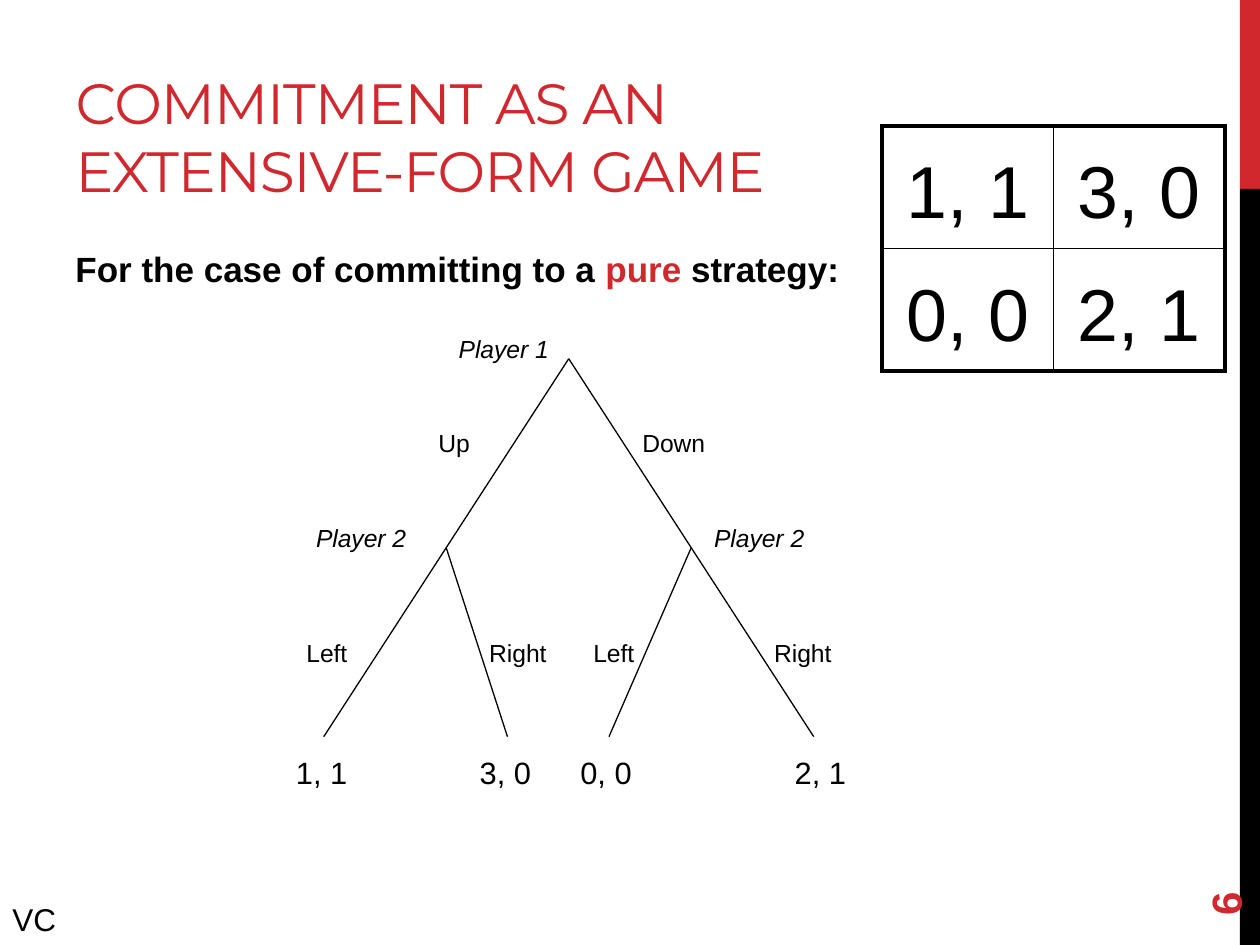
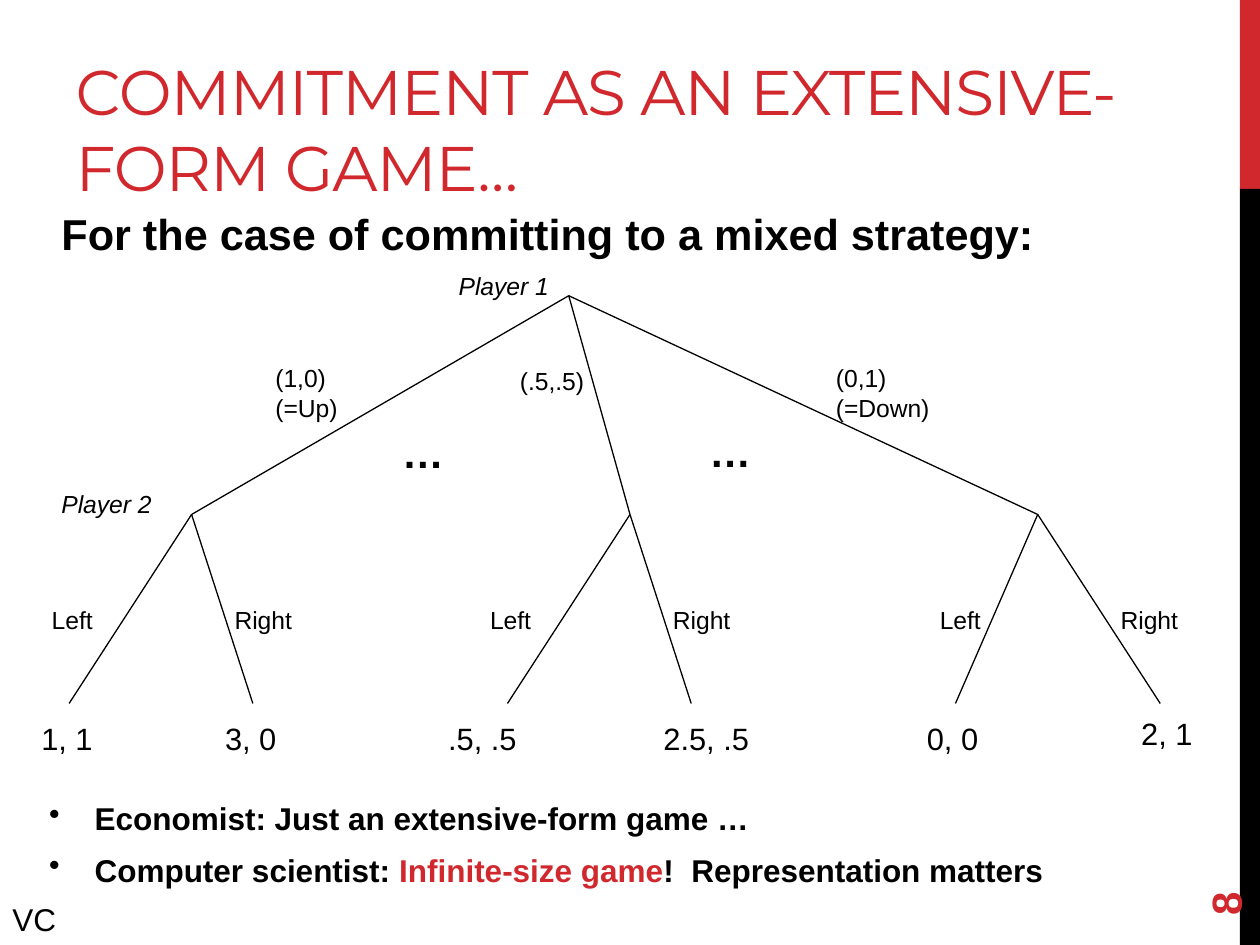
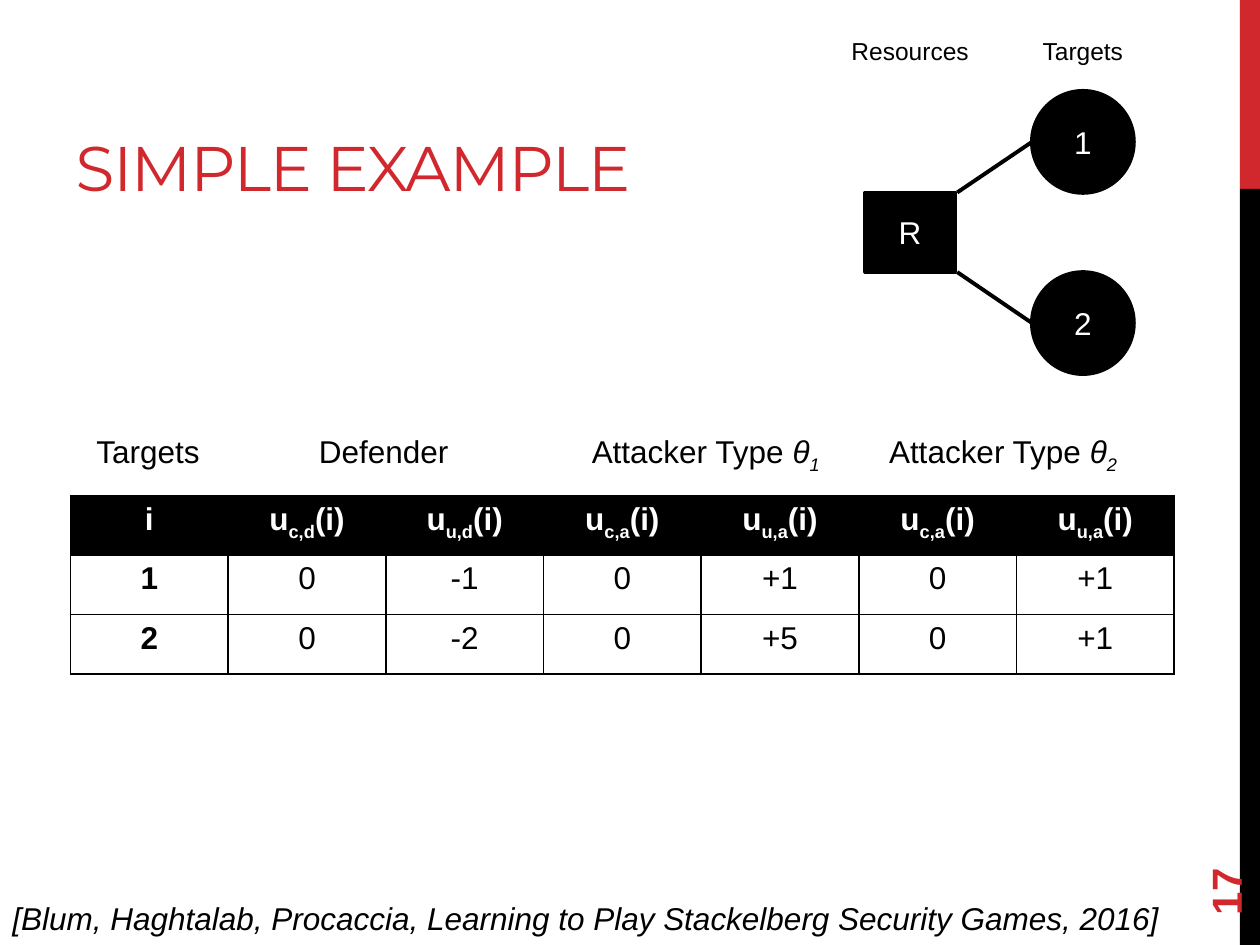
from dataclasses import dataclass, replace
from typing import NamedTuple

from lxml.etree import SubElement
from pptx import Presentation
from pptx.dml.color import RGBColor
from pptx.enum.shapes import MSO_CONNECTOR, MSO_SHAPE
from pptx.enum.text import MSO_ANCHOR, MSO_AUTO_SIZE, PP_ALIGN
from pptx.oxml import parse_xml
from pptx.oxml.ns import nsdecls, qn
from pptx.util import Pt

RED, BLACK, WHITE = "D1282E", "000000", "FFFFFF"


class Run(NamedTuple):
    text: str
    color: str | None = None
    italic: bool | None = None
    subscript: bool = False


class Box(NamedTuple):
    left: float
    top: float
    width: float
    height: float


@dataclass(frozen=True)
class Style:
    size: float
    color: str = BLACK
    bold: bool = False
    italic: bool = False
    font: str = "Arial"
    align: PP_ALIGN = PP_ALIGN.LEFT
    line_spacing: float = 1.0
    before: float = 0
    bullet: bool = False


class Label(NamedTuple):
    text: str
    box: Box
    style: Style


class Branch(NamedTuple):
    action: str
    end: float
    label: float
    payoff: float


class Outcome(NamedTuple):
    branch: Branch
    payoff: str
    shift_x: float = 0
    shift_y: float = 0


class Decision(NamedTuple):
    x: float
    outcomes: tuple[Outcome, Outcome]


class Tree(NamedTuple):
    root: tuple[float, float]
    decision_top: float
    decisions: list[Decision]
    labels: list[Label]


ACTION = Style(14.1)
PLAYER = replace(ACTION, italic=True)
PAYOFF = Style(17.6)
ELLIPSIS = Style(23.8, bold=True, align=PP_ALIGN.CENTER)
BODY = Style(18)
CENTERED = replace(BODY, align=PP_ALIGN.CENTER)
ON_BLACK = replace(CENTERED, color=WHITE)
CAPTION = replace(CENTERED, size=14)
PAGE_NUMBER = Style(24, RED, bold=True)

WIDE_LEFT = Branch("Left", -70, -87, -93)
NARROW_LEFT = Branch("Left", -47, -63, -70.5)
NARROW_RIGHT = Branch("Right", 35, 17.5, 12)
WIDE_RIGHT = Branch("Right", 70, 40.3, 52)
BRANCH_DROP = 108


def rgb(color: str) -> RGBColor:
    return RGBColor.from_string(color)


def write_paragraph(paragraph, text: str | tuple[Run, ...], style: Style) -> None:
    paragraph.alignment = style.align
    paragraph.line_spacing = style.line_spacing
    paragraph.space_before = Pt(style.before)
    paragraph.space_after = Pt(0)
    font = paragraph.font
    font.name, font.size = style.font, Pt(style.size)
    font.bold, font.italic = style.bold, style.italic
    font.color.rgb = rgb(style.color)
    if style.bullet:
        properties = paragraph._p.get_or_add_pPr()
        properties.set("marL", str(Pt(26)))
        properties.set("indent", str(Pt(-26)))
        bullet = parse_xml(f'<a:buChar {nsdecls("a")} char="•"/>')
        properties.find(qn("a:defRPr")).addprevious(bullet)
    for part in (Run(text),) if isinstance(text, str) else text:
        run = paragraph.add_run()
        run.text = part.text
        if part.color:
            run.font.color.rgb = rgb(part.color)
        if part.italic is not None:
            run.font.italic = part.italic
        if part.subscript:
            run._r.get_or_add_rPr().set("baseline", "-25000")


def add_text(slide, box: Box, style: Style, *paragraphs: str | tuple[Run, ...]):
    shape = slide.shapes.add_textbox(*map(Pt, box))
    frame = shape.text_frame
    frame.word_wrap = True
    for index, text in enumerate(paragraphs):
        paragraph = frame.add_paragraph() if index else frame.paragraphs[0]
        write_paragraph(paragraph, text, style)
    return shape


def add_filled(slide, kind: MSO_SHAPE, box: Box, color: str, outline: float = 0, text: str = ""):
    shape = slide.shapes.add_shape(kind, *map(Pt, box))
    shape.shadow.inherit = False
    shape.fill.solid()
    shape.fill.fore_color.rgb = rgb(color)
    if outline:
        shape.line.color.rgb = rgb(color)
        shape.line.width = Pt(outline)
    else:
        shape.line.fill.background()
    if text:
        shape.text_frame.vertical_anchor = MSO_ANCHOR.MIDDLE
        write_paragraph(shape.text_frame.paragraphs[0], text, ON_BLACK)


def add_line(slide, start: tuple[float, float], end: tuple[float, float], width: float = 0.75) -> None:
    line = slide.shapes.add_connector(MSO_CONNECTOR.STRAIGHT, *map(Pt, (*start, *end)))
    line.line.color.rgb = rgb(BLACK)
    line.line.width = Pt(width)
    SubElement(line._element.spPr, qn("a:effectLst"))


def set_borders(cell, left: float, right: float, top: float, bottom: float) -> None:
    properties = cell._tc.get_or_add_tcPr()
    sides = {"lnL": left, "lnR": right, "lnT": top, "lnB": bottom}
    for index, (side, width) in enumerate(sides.items()):
        border = parse_xml(
            f'<a:{side} {nsdecls("a")} w="{Pt(width)}"><a:solidFill>'
            f'<a:srgbClr val="{BLACK}"/></a:solidFill></a:{side}>'
        )
        properties.insert(index, border)


def add_table(slide, box: Box, rows: list[list], style: Style, outer: float, inner: float, header: bool = False) -> None:
    last_row, last_column = len(rows) - 1, len(rows[0]) - 1
    table = slide.shapes.add_table(len(rows), len(rows[0]), *map(Pt, box)).table
    table.first_row = table.horz_banding = False
    for column in table.columns:
        column.width = Pt(box.width / len(rows[0]))
    for r, row in enumerate(rows):
        table.rows[r].height = Pt(box.height / len(rows))
        for c, text in enumerate(row):
            cell = table.cell(r, c)
            is_header = header and r == 0
            if is_header:
                cell.fill.solid()
                cell.fill.fore_color.rgb = rgb(BLACK)
            else:
                cell.fill.background()
            set_borders(
                cell,
                left=inner if c else outer,
                right=outer if c == last_column else inner,
                top=inner if r else outer,
                bottom=outer if r == last_row else inner,
            )
            cell_style = replace(
                style,
                color=WHITE if is_header else BLACK,
                bold=header and (r == 0 or c == 0),
            )
            write_paragraph(cell.text_frame.paragraphs[0], text, cell_style)


def add_slide(presentation, title: str, title_width: float, title_size: float, number: int):
    slide = presentation.slides.add_slide(presentation.slide_layouts[5])
    add_filled(slide, MSO_SHAPE.RECTANGLE, Box(708.5, 0, 11.5, 108), RED)
    add_filled(slide, MSO_SHAPE.RECTANGLE, Box(708.5, 108, 11.5, 432), BLACK)
    shape = slide.shapes.title
    shape.left, shape.top, shape.width, shape.height = map(Pt, (36, 12, title_width, 108))
    frame = shape.text_frame
    frame.auto_size = MSO_AUTO_SIZE.NONE
    frame.vertical_anchor = MSO_ANCHOR.BOTTOM
    paragraph = frame.paragraphs[0]
    write_paragraph(paragraph, title, Style(title_size, RED, font="Montserrat"))
    paragraph.runs[0]._r.get_or_add_rPr().set("spc", "-60")
    page = add_text(slide, Box(648, 463.5, 104, 29), PAGE_NUMBER, str(number))
    page.rotation = 270
    page.text_frame.vertical_anchor = MSO_ANCHOR.MIDDLE
    return slide


def add_initials(slide) -> None:
    add_text(slide, Box(0, 511, 55, 29), BODY, "VC")


def add_tree(slide, tree: Tree) -> None:
    top = tree.decision_top
    for decision in tree.decisions:
        add_line(slide, tree.root, (decision.x, top))
        for outcome in decision.outcomes:
            branch = outcome.branch
            add_line(slide, (decision.x, top), (decision.x + branch.end, top + BRANCH_DROP))
            add_text(slide, Box(decision.x + branch.label, top + 48.2, 52.5, 24.5), ACTION, branch.action)
            payoff_left = decision.x + branch.payoff + outcome.shift_x
            add_text(slide, Box(payoff_left, top + 114 + outcome.shift_y, 70, 29), PAYOFF, outcome.payoff)
    for label in tree.labels:
        add_text(slide, label.box, label.style, label.text)


def player(number: int, left: float, top: float) -> Label:
    return Label(f"Player {number}", Box(left, top, 70, 24.5), PLAYER)


def build_pure_commitment(presentation) -> None:
    slide = add_slide(presentation, "COMMITMENT AS AN EXTENSIVE-FORM GAME", 456, 32.4, 6)
    heading = (Run("For the case of committing to a "), Run("pure", RED), Run(" strategy:"))
    add_text(slide, Box(36, 138, 600, 40), Style(20, bold=True, before=4), heading)
    add_tree(slide, Tree(
        root=(325, 205),
        decision_top=313,
        decisions=[
            Decision(255, (Outcome(WIDE_LEFT, "1, 1"), Outcome(NARROW_RIGHT, "3, 0"))),
            Decision(395, (Outcome(NARROW_LEFT, "0, 0"), Outcome(WIDE_RIGHT, "2, 1"))),
        ],
        labels=[
            player(1, 255, 187.5),
            player(2, 173.5, 295.5),
            player(2, 401, 295.5),
            Label("Up", Box(243.5, 241, 41, 24.5), ACTION),
            Label("Down", Box(360, 241, 52.5, 24.5), ACTION),
        ],
    ))
    add_initials(slide)
    add_table(
        slide,
        Box(504, 72, 196, 140),
        [["1, 1", "3, 0"], ["0, 0", "2, 1"]],
        Style(42, align=PP_ALIGN.CENTER, line_spacing=1.24, before=9),
        outer=2.25,
        inner=1,
    )


def build_mixed_commitment(presentation) -> None:
    slide = add_slide(presentation, "COMMITMENT AS AN EXTENSIVE-FORM GAME…", 609, 36, 8)
    add_text(
        slide,
        Box(28, 108, 641, 66),
        Style(24.7, bold=True, line_spacing=1.24, before=7.9),
        "For the case of committing to a mixed strategy:",
    )
    add_tree(slide, Tree(
        root=(325, 169),
        decision_top=294,
        decisions=[
            Decision(109.5, (Outcome(WIDE_LEFT, "1, 1"), Outcome(NARROW_RIGHT, "3, 0"))),
            Decision(360, (Outcome(WIDE_LEFT, ".5, .5", shift_x=-18), Outcome(NARROW_RIGHT, "2.5, .5"))),
            Decision(593, (Outcome(NARROW_LEFT, "0, 0"), Outcome(WIDE_RIGHT, "2, 1", shift_y=-3))),
        ],
        labels=[
            player(1, 255, 151.5),
            player(2, 28, 276),
            Label("(1,0) (=Up)", Box(150.3, 204, 58.3, 41), ACTION),
            Label("(.5,.5)", Box(290, 205.5, 70, 24.5), ACTION),
            Label("(0,1) (=Down)", Box(470.6, 204, 70, 41), ACTION),
            Label("…", Box(222.5, 240.3, 38.5, 36), ELLIPSIS),
            Label("…", Box(398, 240, 38.5, 36), ELLIPSIS),
        ],
    ))
    add_text(
        slide,
        Box(21, 453, 688, 66),
        Style(18, bold=True, before=7.9, bullet=True),
        "Economist: Just an extensive-form game …",
        (Run("Computer scientist: "), Run("Infinite-size game", RED), Run("!  Representation matters")),
    )
    add_initials(slide)


def utility(subscript: str) -> tuple[Run, ...]:
    return Run("u"), Run(subscript, subscript=True), Run("(i)")


def attacker(number: int) -> tuple[Run, ...]:
    return Run("Attacker Type "), Run("θ", italic=True), Run(str(number), italic=True, subscript=True)


def build_simple_example(presentation) -> None:
    slide = add_slide(presentation, "SIMPLE EXAMPLE", 456, 36, 17)
    add_text(
        slide,
        Box(0, 510, 671, 29),
        replace(BODY, italic=True),
        "[Blum, Haghtalab, Procaccia, Learning to Play Stackelberg Security Games, 2016]",
    )
    for text, left in (("Resources", 478), ("Targets", 576.7)):
        add_text(slide, Box(left, 17.3, 84.2, 24.5), CAPTION, text)
    add_filled(slide, MSO_SHAPE.RECTANGLE, Box(494.5, 110, 51, 45.5), BLACK, 2.25, "R")
    for target, top, corner in (("1", 52, 110), ("2", 155.5, 155.5)):
        add_filled(slide, MSO_SHAPE.OVAL, Box(589.7, top, 58.2, 58.2), BLACK, 2.25, target)
        add_line(slide, (547, corner), (589.7, top + 29.1), 2.25)
    headings = (
        ("Targets", 40.3, 88.5),
        ("Defender", 175, 88.5),
        (attacker(1), 328.3, 150),
        (attacker(2), 498.2, 150),
    )
    for text, left, width in headings:
        add_text(slide, Box(left, 243.4, width, 29), CENTERED, text)
    utilities = [utility(name) for name in ("c,d", "u,d", "c,a", "u,a", "c,a", "u,a")]
    add_table(
        slide,
        Box(40.3, 283, 630.7, 102.2),
        [
            ["i", *utilities],
            ["1", "0", "-1", "0", "+1", "0", "+1"],
            ["2", "0", "-2", "0", "+5", "0", "+1"],
        ],
        CENTERED,
        outer=1,
        inner=1,
        header=True,
    )


def main() -> None:
    presentation = Presentation()
    presentation.slide_width, presentation.slide_height = Pt(720), Pt(540)
    build_pure_commitment(presentation)
    build_mixed_commitment(presentation)
    build_simple_example(presentation)
    presentation.save("out.pptx")


if __name__ == "__main__":
    main()
